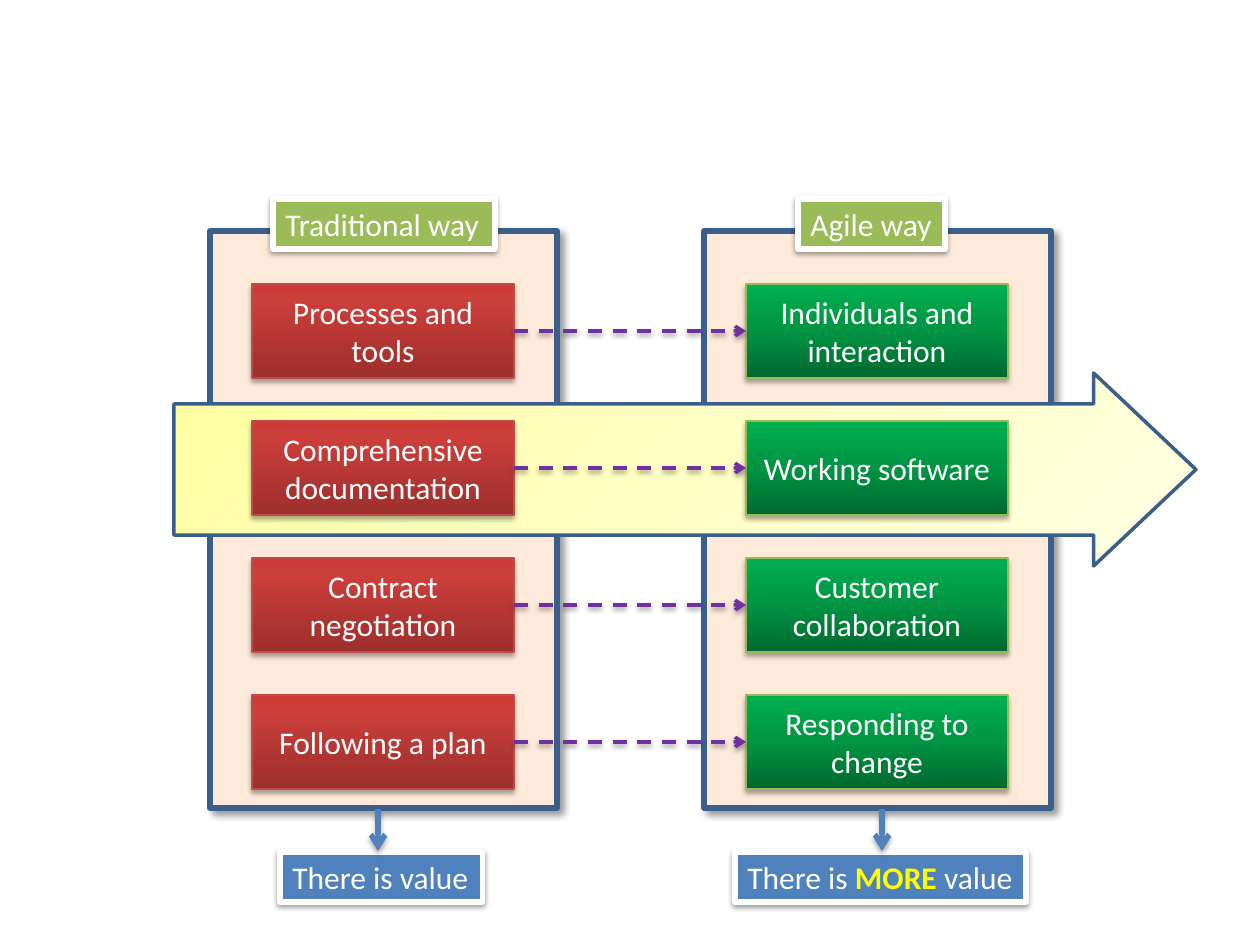
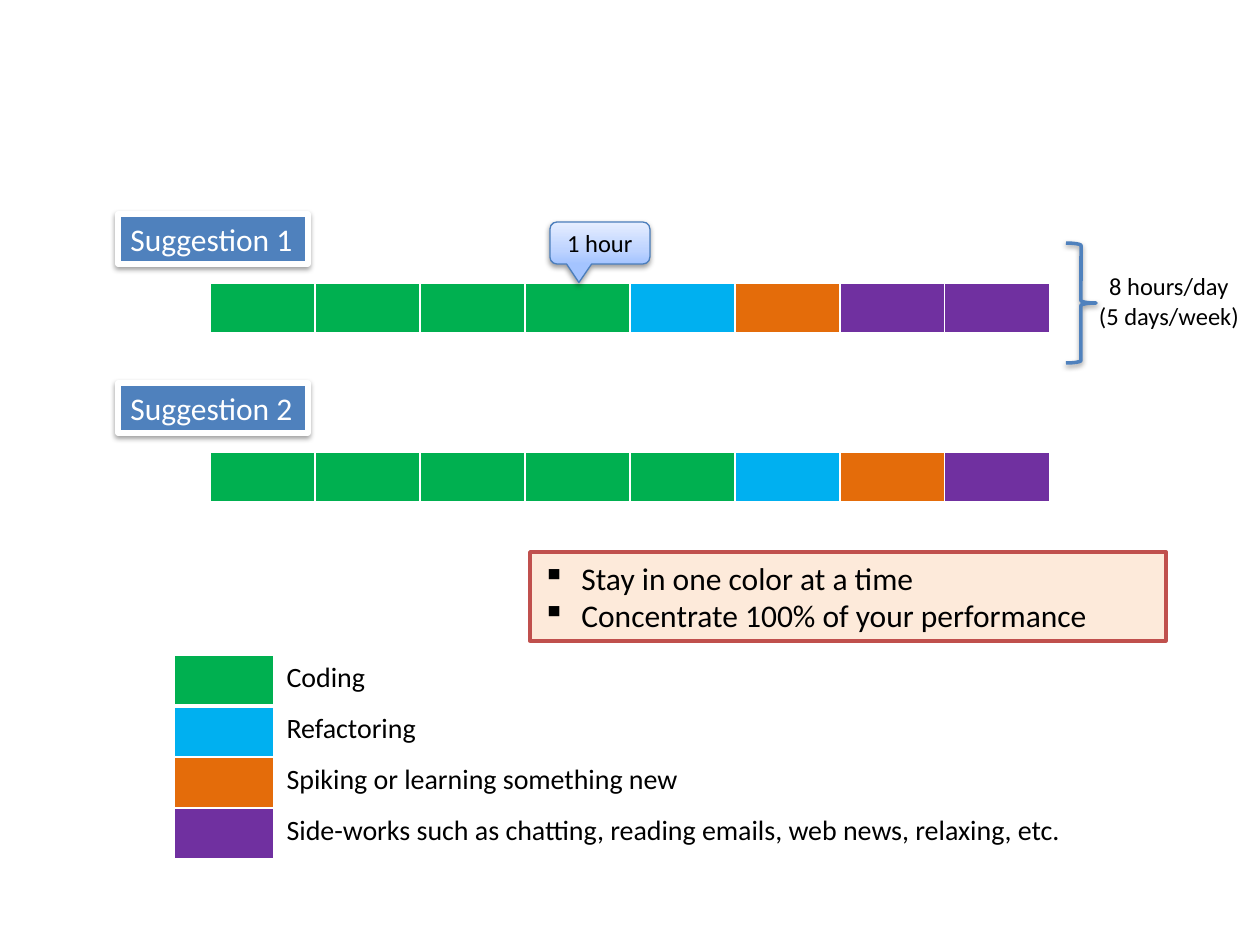
from dataclasses import dataclass

from lxml import etree
from pptx import Presentation
from pptx.dml.color import RGBColor
from pptx.enum.dml import MSO_LINE
from pptx.enum.shapes import MSO_CONNECTOR, MSO_SHAPE
from pptx.enum.text import MSO_ANCHOR, MSO_AUTO_SIZE, PP_ALIGN
from pptx.oxml.ns import qn
from pptx.util import Emu, Pt

RECT, ARROW = MSO_SHAPE.RECTANGLE, MSO_SHAPE.RIGHT_ARROW
BRACE, CALLOUT = MSO_SHAPE.RIGHT_BRACE, MSO_SHAPE.ROUNDED_RECTANGULAR_CALLOUT
STRAIGHT, DASH = MSO_CONNECTOR.STRAIGHT, MSO_LINE.DASH
LEFT, CENTER = PP_ALIGN.LEFT, PP_ALIGN.CENTER
TOP, MIDDLE = MSO_ANCHOR.TOP, MSO_ANCHOR.MIDDLE
FIT = MSO_AUTO_SIZE.SHAPE_TO_FIT_TEXT


@dataclass(frozen=True)
class Theme:
    font: str = "Calibri"
    body: int = 18
    legend: int = 16
    small: int = 14
    white: str = "FFFFFF"
    black: str = "000000"
    blue: str = "4F81BD"
    olive: str = "9BBB59"
    navy: str = "3A5F8C"
    peach: str = "FDEADA"
    red: str = "C0504D"
    yellow: str = "FFFF00"
    green: str = "00B050"
    sky: str = "00B0F0"
    orange: str = "E46C0A"
    purple: str = "7030A0"
    # Gradients: (angle, stops)
    red_fade: tuple = (270, ((0, "9C2F2D"), (80, "CB3E3A"), (100, "CE3B37")))
    green_fade: tuple = (270, ((0, "00682F"), (50, "009443"), (100, "00B050")))
    yellow_fade: tuple = (45, ((0, "FFFFA0"), (50, "FFFFC5"), (100, "FFFFE3")))
    blue_fade: tuple = (270, ((0, "A4C4FF"), (35, "BFD4FF"), (100, "E6EEFF")))
    # Shadows: opacity %, blur pt, distance pt, direction
    panel_shadow: tuple = (40, 4, 3, 45)
    box_shadow: tuple = (35, 3.1, 1.8, 90)
    soft_shadow: tuple = (38, 3.1, 1.6, 90)


T = Theme()


def px(n):
    return Emu(round(n * 914400 / 126))


def rgb(color):
    return RGBColor.from_string(color)


def sub(parent, tag, **attrs):
    return etree.SubElement(parent, qn(tag), {k: str(v) for k, v in attrs.items()})


# Formatting helpers
def set_fill(fill, value):
    if value is None:
        fill.background()
    elif isinstance(value, str):
        fill.solid()
        fill.fore_color.rgb = rgb(value)
    else:
        angle, stops = value
        fill.gradient()
        fill.gradient_angle = 360 - angle
        gs_list = fill.gradient_stops[0]._gs.getparent()
        for gs in list(gs_list):
            gs_list.remove(gs)
        for pos, color in stops:
            gs = sub(gs_list, "a:gs", pos=pos * 1000)
            sub(gs, "a:srgbClr", val=color)


def set_line(line, color, width):
    line.color.rgb = rgb(color)
    line.width = Pt(width)


def set_shadow(effects, shadow):
    opacity, blur, dist, angle = shadow
    outer = sub(effects, "a:outerShdw", blurRad=Pt(blur), dist=Pt(dist),
                dir=angle * 60000, algn="ctr", rotWithShape=0)
    color = sub(outer, "a:srgbClr", val=T.black)
    sub(color, "a:alpha", val=opacity * 1000)


def add_runs(p, runs, size, color):
    """Fill a paragraph with runs of (text, colour or None, bold)."""
    for text, run_color, bold in runs:
        r = p.add_run()
        r.text = text
        for key, value in {"name": T.font, "size": Pt(size), "bold": bold}.items():
            setattr(r.font, key, value)
        r.font.color.rgb = rgb(run_color or color)


def write(tf, lines, size=T.body, color=T.white, align=CENTER, **frame):
    for key, value in frame.items():
        setattr(tf, key, value)
    for i, line in enumerate(lines):
        p = tf.add_paragraph() if i else tf.paragraphs[0]
        p.alignment = align
        add_runs(p, [(line, None, False)] if isinstance(line, str) else line, size, color)


def add_box(slide, kind, box, fill, line, width, shadow=None, adj=()):
    sp = slide.shapes.add_shape(kind, *map(px, box))
    for i, value in enumerate(adj):
        sp.adjustments[i] = value
    set_fill(sp.fill, fill)
    set_line(sp.line, line, width)
    sp.shadow.inherit = False
    if shadow:
        set_shadow(sp._element.spPr.find(qn("a:effectLst")), shadow)
    return sp


def add_arrow(slide, start, end, color, width, shadow, dash=None):
    cx = slide.shapes.add_connector(STRAIGHT, *map(px, start + end))
    set_line(cx.line, color, width)
    if dash:
        cx.line.dash_style = dash
    sub(cx.line._get_or_add_ln(), "a:tailEnd", type="arrow")
    set_shadow(sub(cx._element.spPr, "a:effectLst"), shadow)


def add_tag(slide, box, line, fill):
    """White-framed label that fits its text."""
    sp = add_box(slide, RECT, box, fill, T.white, 3, T.soft_shadow)
    write(sp.text_frame, [line], align=LEFT, vertical_anchor=TOP,
          word_wrap=False, auto_size=FIT)


def add_grid(slide, left, top, widths, height, rows):
    """Table of (fill, text) cells; the first row has a thick lower border."""
    shape = slide.shapes.add_table(len(rows), len(widths), px(left), px(top),
                                   px(sum(widths)), px(height * len(rows)))
    table = shape.table
    table.first_row = table.horz_banding = False
    for col, width in zip(table.columns, widths):
        col.width = px(width)
    for i, row in enumerate(rows):
        table.rows[i].height = px(height)
        for j, (fill, text) in enumerate(row):
            cell = table.cell(i, j)
            tc_pr = cell._tc.get_or_add_tcPr()
            for side in "LRTB":
                thick = (side == "B" and i == 0) or (side == "T" and i == 1)
                ln = sub(tc_pr, f"a:ln{side}", w=Pt(3 if thick else 1))
                sub(sub(ln, "a:solidFill"), "a:srgbClr", val=T.white)
            set_fill(cell.fill, fill)
            if text:
                write(cell.text_frame, [text], T.legend, T.black, LEFT)


# Slide 1: two ways of working
BOX_W, BOX_H, ROW_STEP = 262, 94, 137


def draw_panel(slide, box):
    add_box(slide, RECT, box, T.peach, T.navy, 3, T.panel_shadow)


def draw_panel_tags(slide, box, heading, heading_at, value, value_at, arrow_dx):
    x, y, _, h = box
    for line, (dx, w), dy, fill in ((heading, heading_at, -32, T.olive),
                                    (value, value_at, h + 44, T.blue)):
        add_tag(slide, (x + dx, y + dy, w, 50), line, fill)
    add_arrow(slide, (x + arrow_dx, y + h + 1), (x + arrow_dx, y + h + 43),
              T.blue, 3, T.box_shadow)


def draw_pair(slide, panels, row, pair):
    """One traditional box, its agile counterpart and the arrow between."""
    y = panels[0][1] + 53 + row * ROW_STEP
    lefts = [panel[0] + 42 for panel in panels]
    styles = ((T.red_fade, "BF4C48"), (T.green_fade, "98B955"))
    for x, text, (fill, line) in zip(lefts, pair, styles):
        sp = add_box(slide, RECT, (x, y, BOX_W, BOX_H), fill, line, 0.75, T.box_shadow)
        write(sp.text_frame, [text], vertical_anchor=MIDDLE, word_wrap=True)
    mid = y + BOX_H // 2
    add_arrow(slide, (lefts[0] + BOX_W, mid), (lefts[1], mid),
              T.purple, 2, T.soft_shadow, DASH)


def build_comparison(slide):
    panels = [(x, 231, 347, 577) for x in (210, 704)]
    pairs = [("Processes and tools", "Individuals and interaction"),
             ("Comprehensive documentation", "Working software"),
             ("Contract negotiation", "Customer collaboration"),
             ("Following a plan", "Responding to change")]
    highlighted = 1
    for panel in panels:
        draw_panel(slide, panel)
    draw_panel_tags(slide, panels[0], "Traditional way", (63, 222),
                    "There is value", (70, 203), 168)
    more_value = [("There is ", None, False), ("MORE", T.yellow, True),
                  (" value", None, False)]
    draw_panel_tags(slide, panels[1], "Agile way", (94, 147),
                    more_value, (31, 291), 178)
    for row, pair in enumerate(pairs):
        if row != highlighted:
            draw_pair(slide, panels, row, pair)
    # Highlight arrow lies over the panels and under its own pair
    add_box(slide, ARROW, (174, 373, 1022, 193), T.yellow_fade, T.navy, 2,
            adj=(0.68, 0.53))
    draw_pair(slide, panels, highlighted, pairs[highlighted])


# Slide 2: splitting the working day
def draw_day(slide, x, y, name, hours):
    """Suggestion label and its bar of one-hour cells."""
    add_tag(slide, (x, y, 190, 50), name, T.blue)
    cells = [(color, None) for color, count in hours for _ in range(count)]
    add_grid(slide, x + 92, y + 69, [105] * len(cells), 51, [cells])


def draw_hour_callout(slide, box):
    sp = add_box(slide, CALLOUT, box, T.blue_fade, "4B7EBC", 0.75,
                 T.soft_shadow, (-0.21, 0.94, 0.17))
    write(sp.text_frame, ["1 hour"], T.small, T.black,
          vertical_anchor=MIDDLE, word_wrap=True)


def draw_day_total(slide, box):
    x, y, w, h = box
    add_box(slide, BRACE, (x, y, 30, h), None, T.blue, 2, T.soft_shadow)
    tb = slide.shapes.add_textbox(*map(px, (x + 20, y + 22, w - 20, 72)))
    write(tb.text_frame, ["8 hours/day", "(5 days/week)"], T.small, T.black,
          word_wrap=False, auto_size=FIT)


def draw_advice(slide, box):
    sp = add_box(slide, RECT, box, T.peach, T.red, 2)
    write(sp.text_frame, ["Stay in one color at a time",
                          "Concentrate 100% of your performance"],
          color=T.black, align=LEFT, vertical_anchor=MIDDLE, word_wrap=True)
    for p in sp.text_frame.paragraphs:
        p_pr = p._p.get_or_add_pPr()
        for key, value in {"marL": px(39), "indent": -px(39)}.items():
            p_pr.set(key, str(value))
        sub(p_pr, "a:buChar", char="▪")


def draw_legend(slide, x, y):
    entries = [(T.green, "Coding"), (T.sky, "Refactoring"),
               (T.orange, "Spiking or learning something new"),
               (T.purple, "Side-works such as chatting, reading emails, "
                          "web news, relaxing, etc.")]
    rows = [[(color, None), (None, text)] for color, text in entries]
    add_grid(slide, x, y, [100, 843], 51, rows)


def build_schedule(slide):
    draw_day(slide, 118, 214, "Suggestion 1",
             [(T.green, 4), (T.sky, 1), (T.orange, 1), (T.purple, 2)])
    draw_day(slide, 118, 383, "Suggestion 2",
             [(T.green, 5), (T.sky, 1), (T.orange, 1), (T.purple, 1)])
    draw_legend(slide, 174, 655)
    draw_hour_callout(slide, (550, 222, 100, 42))
    draw_day_total(slide, (1066, 243, 186, 120))
    draw_advice(slide, (530, 552, 636, 89))


def main():
    prs = Presentation()
    prs.slide_width, prs.slide_height = px(1260), px(945)
    for build in (build_comparison, build_schedule):
        build(prs.slides.add_slide(prs.slide_layouts[6]))
    prs.save("out.pptx")


if __name__ == "__main__":
    main()
